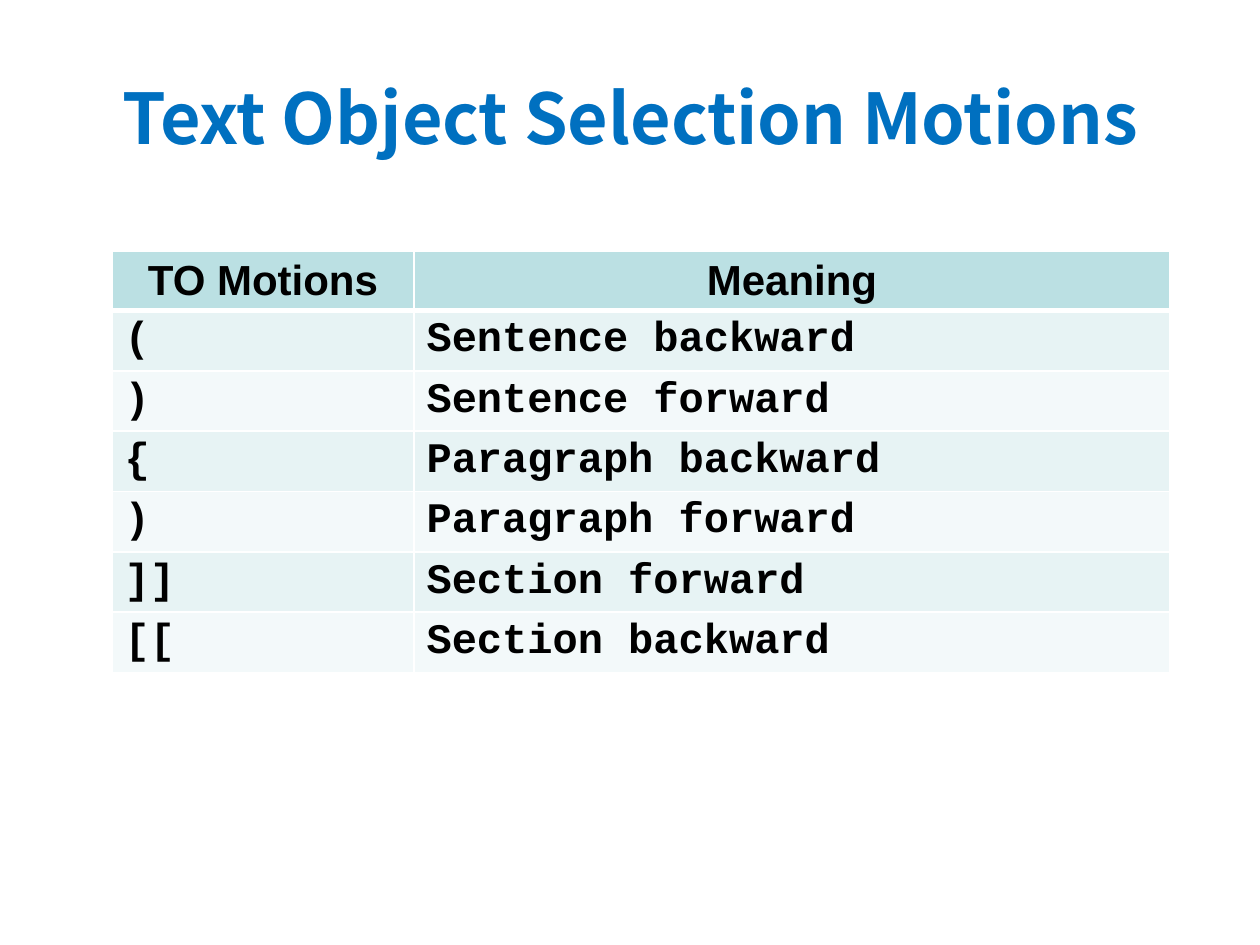
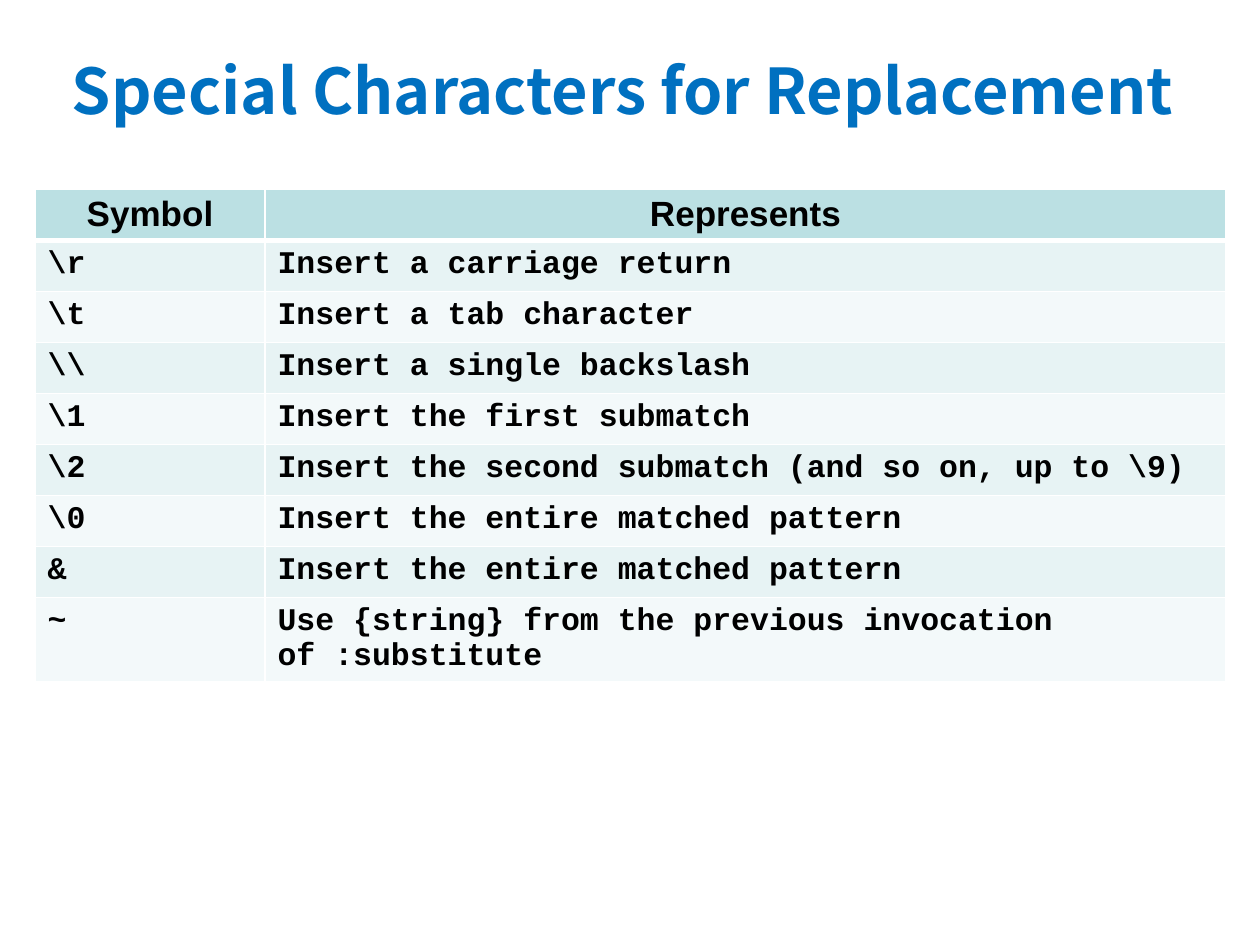
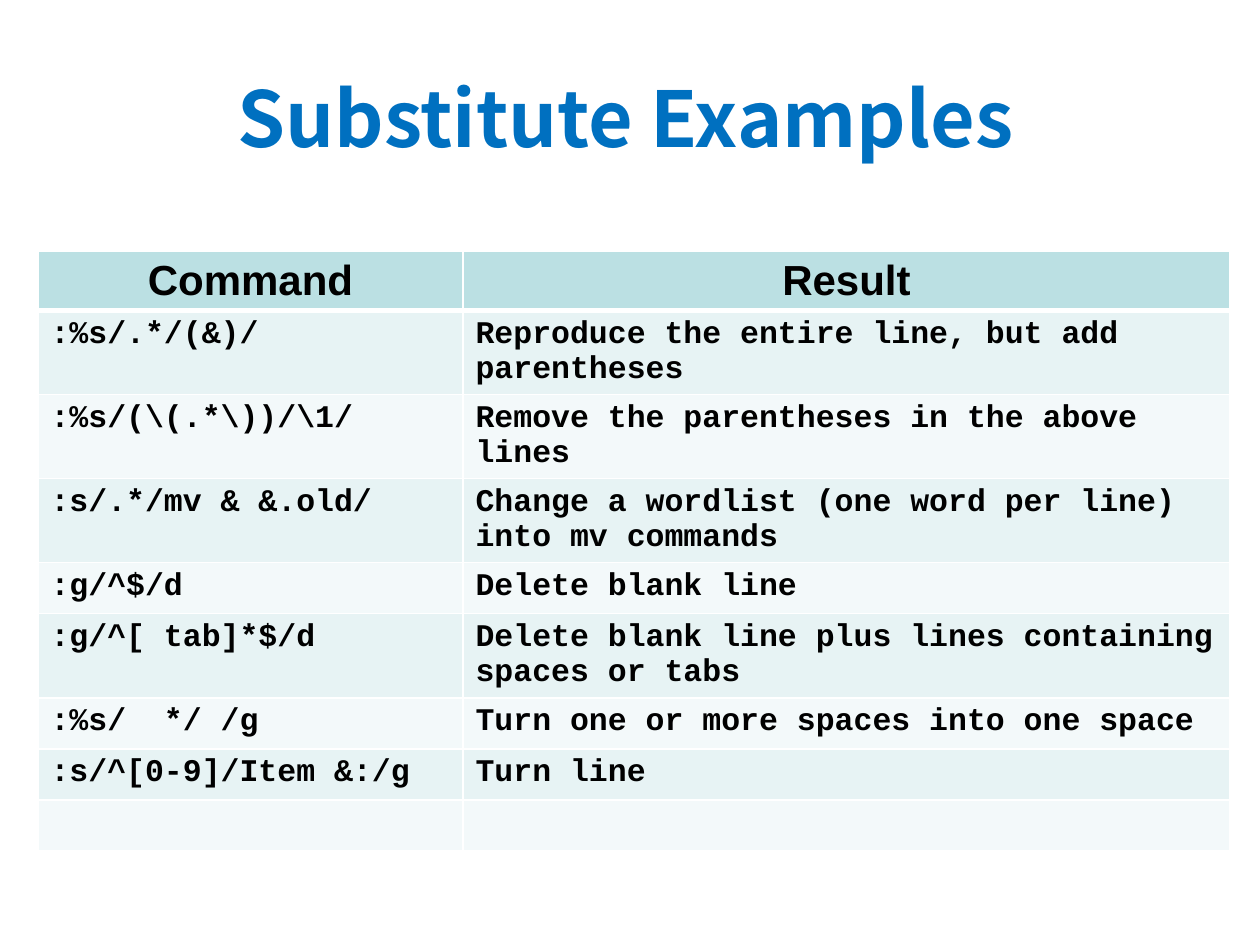
from itertools import cycle

from lxml import etree
from pptx import Presentation
from pptx.dml.color import RGBColor
from pptx.enum.text import MSO_ANCHOR, MSO_AUTO_SIZE, PP_ALIGN
from pptx.oxml.ns import qn
from pptx.util import Emu, Pt

CENTER, LEFT = PP_ALIGN.CENTER, PP_ALIGN.LEFT
MIDDLE, NO_FIT = MSO_ANCHOR.MIDDLE, MSO_AUTO_SIZE.NONE
PIXEL = 914400 / 126
TITLE_ONLY = 5
ROW_HEIGHT = 51
COLORS = {
    "title": "0070C0",
    "text": "000000",
    "header": "BBE0E3",
    "dark_band": "E7F3F4",
    "light_band": "F3F9FA",
    "border": "FFFFFF",
}
FONTS = {"title": "Noto Sans CJK SC", "header": "Arial", "code": "Courier New"}


def px(length):
    """Turn pixels into EMU."""
    return Emu(round(length * PIXEL))


def write(frame, text, font, size, color, align):
    """Fill a text frame with one bold, formatted paragraph."""
    para = frame.paragraphs[0]
    para.alignment = align
    span = para.add_run()
    span.text = text
    style = {"name": FONTS[font], "size": Pt(size), "bold": True}
    for key, value in style.items():
        setattr(span.font, key, value)
    span.font.color.rgb = RGBColor.from_string(COLORS[color])


def add_title(page, box, text, size):
    """Move the title placeholder to the box and write the heading."""
    title = page.shapes.title
    title.left, title.top, title.width, title.height = map(px, box)
    frame = title.text_frame
    layout = {"auto_size": NO_FIT, "vertical_anchor": MIDDLE, "word_wrap": True}
    for key, value in layout.items():
        setattr(frame, key, value)
    write(frame, text, "title", size, "title", CENTER)


def set_borders(cell, bottom):
    """Draw one-point borders round a cell, with its own bottom weight."""
    properties = cell._tc.get_or_add_tcPr()
    for side, weight in {"L": 1, "R": 1, "T": 1, "B": bottom}.items():
        line = etree.SubElement(properties, qn(f"a:ln{side}"), w=str(Pt(weight)))
        fill = etree.SubElement(line, qn("a:solidFill"))
        etree.SubElement(fill, qn("a:srgbClr"), val=COLORS["border"])


def fill_row(cells, texts, band, font, size, align, bottom=1):
    """Format one table row and write its texts."""
    for cell, text in zip(cells, texts):
        set_borders(cell, bottom)
        cell.fill.solid()
        cell.fill.fore_color.rgb = RGBColor.from_string(COLORS[band])
        if text:
            write(cell.text_frame, text, font, size, "text", align)


def add_reference_table(page, origin, widths, header, rows, sizes):
    """Place a two-column table with a header and banded rows."""
    count = len(rows) + 1
    box = (*origin, sum(widths), count * ROW_HEIGHT)
    table = page.shapes.add_table(count, len(widths), *map(px, box)).table
    for column, width in zip(table.columns, widths):
        column.width = px(width)
    for row in table.rows:
        row.height = px(ROW_HEIGHT)
    header_size, body_size = sizes
    header_row, *body_rows = table.rows
    fill_row(header_row.cells, header, "header", "header", header_size, CENTER, 3)
    bands = cycle(("dark_band", "light_band"))
    for row, texts, band in zip(body_rows, rows, bands):
        fill_row(row.cells, texts, band, "code", body_size, LEFT)


def add_reference_page(deck, title, table):
    """Add a slide made of a title and a reference table."""
    page = deck.slides.add_slide(deck.slide_layouts[TITLE_ONLY])
    add_title(page, **title)
    add_reference_table(page, **table)


PAGES = [
    {
        "title": {
            "box": (63, 38, 1134, 158),
            "text": "Text Object Selection Motions",
            "size": 40,
        },
        "table": {
            "origin": (112, 251),
            "widths": (302, 756),
            "header": ("TO Motions", "Meaning"),
            "sizes": (24, 24),
            "rows": [
                ("(", "Sentence backward"),
                (")", "Sentence forward"),
                ("{", "Paragraph backward"),
                (")", "Paragraph forward"),
                ("]]", "Section forward"),
                ("[[", "Section backward"),
            ],
        },
    },
    {
        "title": {
            "box": (19, 10, 1207, 158),
            "text": "Special Characters for Replacement",
            "size": 36,
        },
        "table": {
            "origin": (35, 189),
            "widths": (230, 961),
            "header": ("Symbol", "Represents"),
            "sizes": (20, 18),
            "rows": [
                (r"\r", "Insert a carriage return"),
                (r"\t", "Insert a tab character"),
                (r"\\", "Insert a single backslash"),
                (r"\1", "Insert the first submatch"),
                (r"\2", r"Insert the second submatch (and so on, up to \9)"),
                (r"\0", "Insert the entire matched pattern"),
                ("&", "Insert the entire matched pattern"),
                ("~", "Use {string} from the previous invocation of\u00a0:substitute"),
            ],
        },
    },
    {
        "title": {
            "box": (38, 38, 1176, 158),
            "text": "Substitute Examples",
            "size": 44,
        },
        "table": {
            "origin": (38, 251),
            "widths": (425, 767),
            "header": ("Command", "Result"),
            "sizes": (24, 18),
            "rows": [
                (":%s/.*/(&)/", "Reproduce the entire line, but add parentheses"),
                (r":%s/(\(.*\))/\1/", "Remove the parentheses in the above lines"),
                (
                    ":s/.*/mv & &.old/",
                    "Change a wordlist (one word per line) into mv commands",
                ),
                (":g/^$/d", "Delete blank line"),
                (
                    ":g/^[ tab]*$/d",
                    "Delete blank line plus lines containing spaces or tabs",
                ),
                (":%s/  */ /g", "Turn one or more spaces into one space"),
                (":s/^[0-9]/Item &:/g", "Turn line"),
                ("", ""),
            ],
        },
    },
]

deck = Presentation()
deck.slide_width, deck.slide_height = px(1260), px(945)
for content in PAGES:
    add_reference_page(deck, **content)
deck.save("out.pptx")
